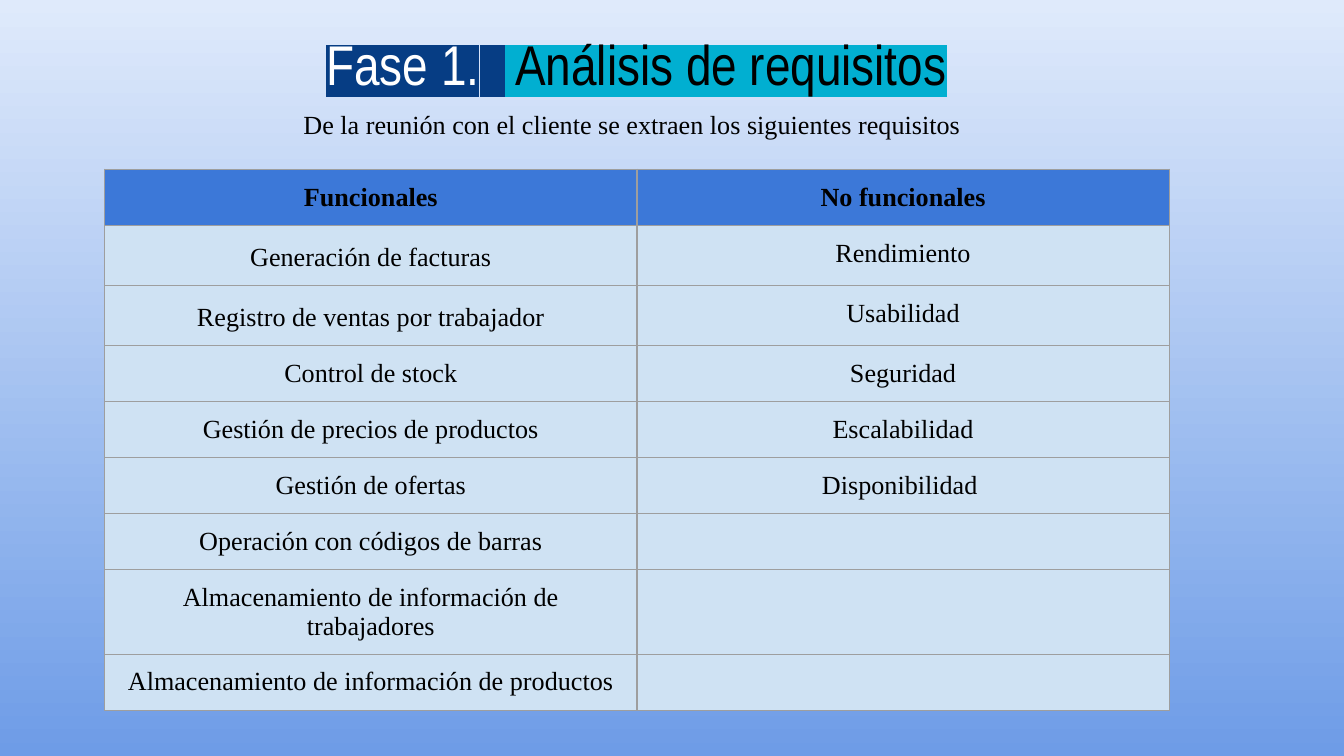
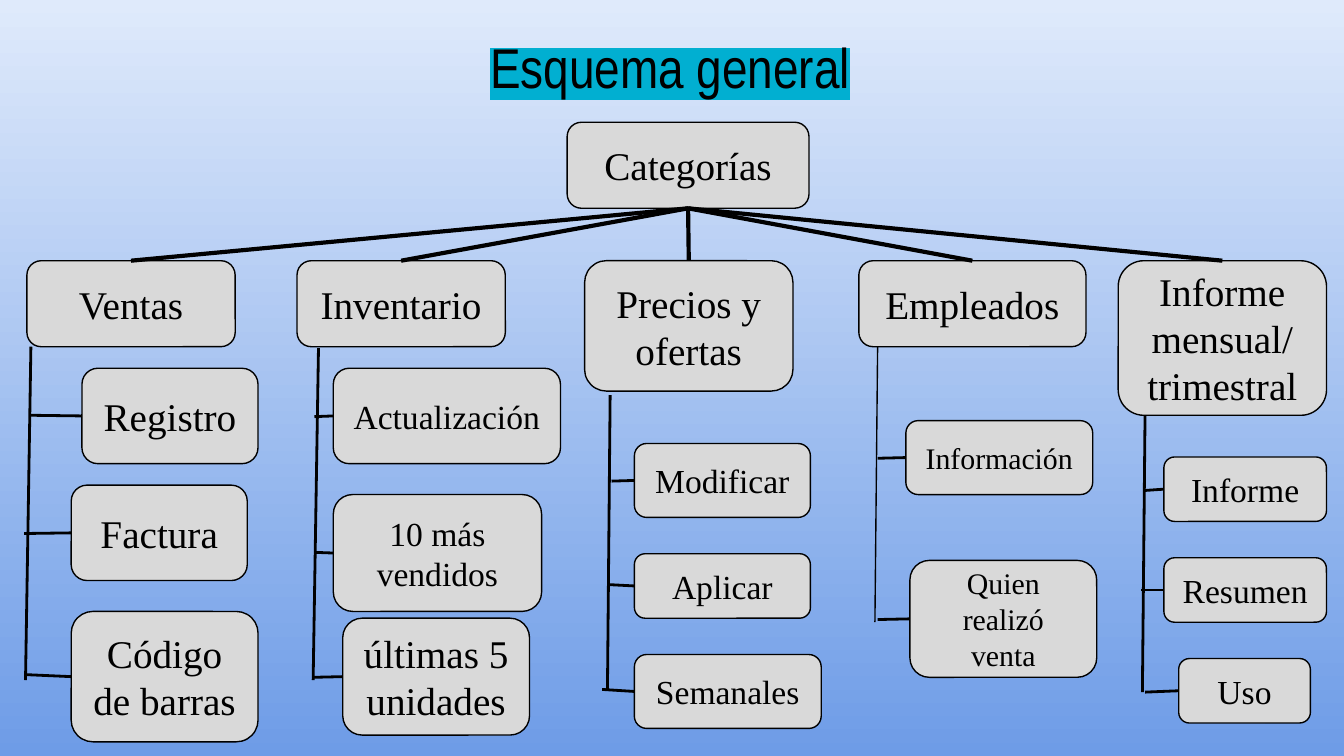
from lxml.etree import SubElement
from pptx import Presentation
from pptx.dml.color import RGBColor
from pptx.enum.shapes import MSO_CONNECTOR, MSO_SHAPE
from pptx.enum.text import MSO_ANCHOR, PP_ALIGN
from pptx.oxml.ns import qn
from pptx.util import Inches, Pt

C = {"sky": "DFEAFB", "blue": "6E9CE7", "navy": "063D84", "cyan": "01AFD1",
     "head": "3C78D8", "cell": "CFE2F3", "border": "9E9E9E",
     "box": "D9D9D9", "black": "000000", "white": "FFFFFF"}
RGB = {name: RGBColor.from_string(value) for name, value in C.items()}
SERIF, NARROW = "Times New Roman", "Arial Narrow"

prs = Presentation()
prs.slide_width = Inches(10)
prs.slide_height = prs.slide_width * 9 // 16
U = prs.slide_width // 100  # grid of 100 columns, square units


def box(x, y, w, h, text, size):
    """Rounded box on the diagram slide, placed in grid units."""
    sp = diagram.shapes.add_shape(MSO_SHAPE.ROUNDED_RECTANGLE,
                                  *(round(v * U) for v in (x, y, w, h)))
    sp.shadow.inherit = False
    sp.fill.solid()
    sp.fill.fore_color.rgb = RGB["box"]
    sp.line.color.rgb = RGB["black"]
    sp.line.width = Pt(0.75)
    tf = sp.text_frame
    tf.margin_left = tf.margin_right = tf.margin_top = tf.margin_bottom = U
    tf.word_wrap = True
    tf.vertical_anchor = MSO_ANCHOR.MIDDLE
    tf.text = text
    for p in tf.paragraphs:
        p.alignment = PP_ALIGN.CENTER
        p.font.name, p.font.size = SERIF, Pt(size)
        p.font.color.rgb = RGB["black"]


def line(x1, y1, x2, y2, width):
    """Straight black line on the diagram slide, in grid units."""
    ln = diagram.shapes.add_connector(MSO_CONNECTOR.STRAIGHT,
                                      *(round(v * U) for v in (x1, y1, x2, y2)))
    ln.line.color.rgb = RGB["black"]
    ln.line.width = Pt(width)
    SubElement(ln._element.spPr, qn("a:effectLst"))


# Slides with the shared gradient background
requirements, diagram = (prs.slides.add_slide(prs.slide_layouts[6]) for _ in range(2))
for s in (requirements, diagram):
    fill = s.background.fill
    fill.gradient()
    fill.gradient_angle = 270
    for stop, name, pos in zip(fill.gradient_stops, ("sky", "blue"), (0, 1)):
        stop.color.rgb = RGB[name]
        stop.position = pos

# Requirements table
rows = [
    ("Funcionales", "No funcionales"),
    ("Generación de facturas", "Rendimiento"),
    ("Registro de ventas por trabajador", "Usabilidad"),
    ("Control de stock", "Seguridad"),
    ("Gestión de precios de productos", "Escalabilidad"),
    ("Gestión de ofertas", "Disponibilidad "),
    ("Operación con códigos de barras", ""),
    ("Almacenamiento de información de trabajadores", ""),
    ("Almacenamiento de información de productos", ""),
]
table = requirements.shapes.add_table(
    len(rows), 2, round(7.8 * U), round(12.6 * U),
    round(79.2 * U), prs.slide_height * 2 // 3).table
table.horz_banding = False
for i, row in enumerate(rows):
    for j, text in enumerate(row):
        cell = table.cell(i, j)
        cell.margin_left = cell.margin_right = cell.margin_top = cell.margin_bottom = U
        tcPr = cell._tc.get_or_add_tcPr()
        for side in ("a:lnL", "a:lnR", "a:lnT", "a:lnB"):
            ln = SubElement(tcPr, qn(side), w=str(Pt(0.75)))
            SubElement(SubElement(ln, qn("a:solidFill")), qn("a:srgbClr"), val=C["border"])
        cell.fill.solid()
        cell.fill.fore_color.rgb = RGB["cell" if i else "head"]
        p = cell.text_frame.paragraphs[0]
        p.alignment = PP_ALIGN.CENTER
        p.font.name, p.font.size, p.font.bold = SERIF, Pt(14), i == 0
        p.font.color.rgb = RGB["black"]
        if text:
            p.add_run().text = text
        else:  # keeps the empty row at the height of a 14 pt line
            SubElement(p._p, qn("a:endParaRPr"), sz="1400")
        if j == 0 and i in (1, 2):
            p.line_spacing = 1.15
            p.space_before = p.space_after = Pt(12)

# Titles and subtitle: runs are (text, colour, highlight)
texts = [
    (requirements, (23.3, 1.2, 55.1, 9.1), NARROW, 30,
     [("Fase 1.", "white", "navy"), ("  ", "black", "navy"),
      (" Análisis de requisitos", "black", "cyan")]),
    (requirements, (21.6, 7.1, 84.4, 4.4), SERIF, 14,
     [("De la reunión con el cliente se extraen los siguientes requisitos", "black", None)]),
    (diagram, (35.5, 1.4, 76.8, 7.1), NARROW, 30,
     [("Esquema general", "black", "cyan")]),
]
for s, place, font, size, runs in texts:
    tf = s.shapes.add_textbox(*(round(v * U) for v in place)).text_frame
    tf.margin_left = tf.margin_right = tf.margin_top = tf.margin_bottom = U
    tf.word_wrap = True
    p = tf.paragraphs[0]
    p.font.name, p.font.size = font, Pt(size)
    for text, color, highlight in runs:
        r = p.add_run()
        r.text = text
        r.font.color.rgb = RGB[color]
        if highlight:
            mark = SubElement(r.font._element, qn("a:highlight"))
            SubElement(mark, qn("a:srgbClr"), val=C[highlight])

# Diagram: head (text, x, w, h), spine (top x, top y, foot x, foot y, width),
# children (text, size, x, y, w, h, branch end x, branch end y)
TOP, ROOT_X, ROOT_FOOT = 19.4, 51.2, 15.5
branches = [
    (("Ventas", 2, 15.5, 6.4), (2.3, 25.8, 1.9, 50.6, 1.5),
     [("Registro", 21, 6.1, 27.4, 13.1, 7.1, 2.2, 30.9),
      ("Factura", 21, 5.3, 36.1, 13.1, 7.1, 1.8, 39.7),
      ("Código de barras", 21, 5.3, 45.5, 13.9, 9.7, 1.9, 50.2)]),
    (("Inventario", 22.1, 15.5, 6.4), (23.7, 25.9, 23.3, 50.6, 1.5),
     [("Actualización", 18, 24.8, 27.4, 16.9, 7.1, 23.4, 31),
      ("10 más vendidos", 18, 24.8, 36.8, 15.5, 8.7, 23.4, 41.1),
      ("últimas 5 unidades", 21, 25.5, 46, 13.9, 8.7, 23.3, 50.4)]),
    (("Precios y ofertas", 43.5, 15.5, 9.7), (45.4, 29.4, 45.2, 51.4, 1.5),
     [("Modificar", 18, 47.2, 33, 13.1, 5.5, 45.5, 35.8),
      ("Aplicar", 18, 47.2, 41.2, 13.1, 4.8, 45.3, 43.5),
      ("Semanales", 18, 47.2, 48.7, 13.9, 5.5, 44.8, 51.3)]),
    (("Empleados", 63.9, 16.9, 6.4), (65.3, 25.8, 65.1, 46.3, 0.75),
     [("Información", 16, 67.4, 31.3, 13.9, 5.5, 65.3, 34.1),
      ("Quien realizó venta", 16, 67.7, 41.7, 13.9, 8.7, 65.3, 46.1)]),
    (("Informe\nmensual/\ntrimestral", 83.2, 15.5, 11.5), (85.2, 30.9, 85, 51.5, 1.5),
     [("Informe", 18, 86.6, 34, 12.1, 4.8, 85.1, 36.5),
      ("Resumen", 18, 86.6, 41.5, 12.1, 4.8, 84.9, 43.9),
      ("Uso", 18, 87.7, 49, 9.8, 4.8, 85.2, 51.5)]),
]
box(42.2, 9.1, 18, 6.4, "Categorías", 21)
for (text, x, w, h), spine, children in branches:
    box(x, TOP, w, h, text, 21)
    line(ROOT_X, ROOT_FOOT, x + w / 2, TOP, 2.25)
    line(*spine)
    for label, size, cx, cy, cw, ch, end_x, end_y in children:
        box(cx, cy, cw, ch, label, size)
        line(cx, cy + ch / 2, end_x, end_y, 1.5)

prs.save("out.pptx")
